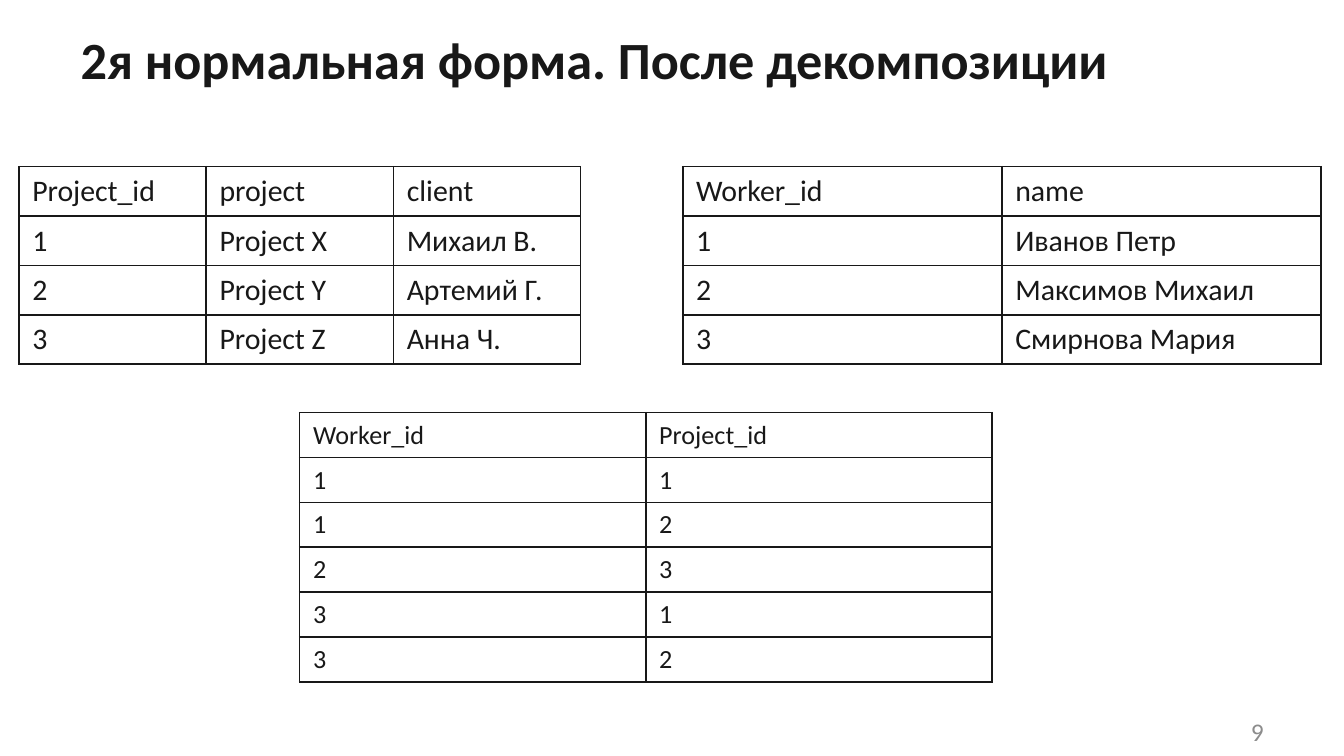
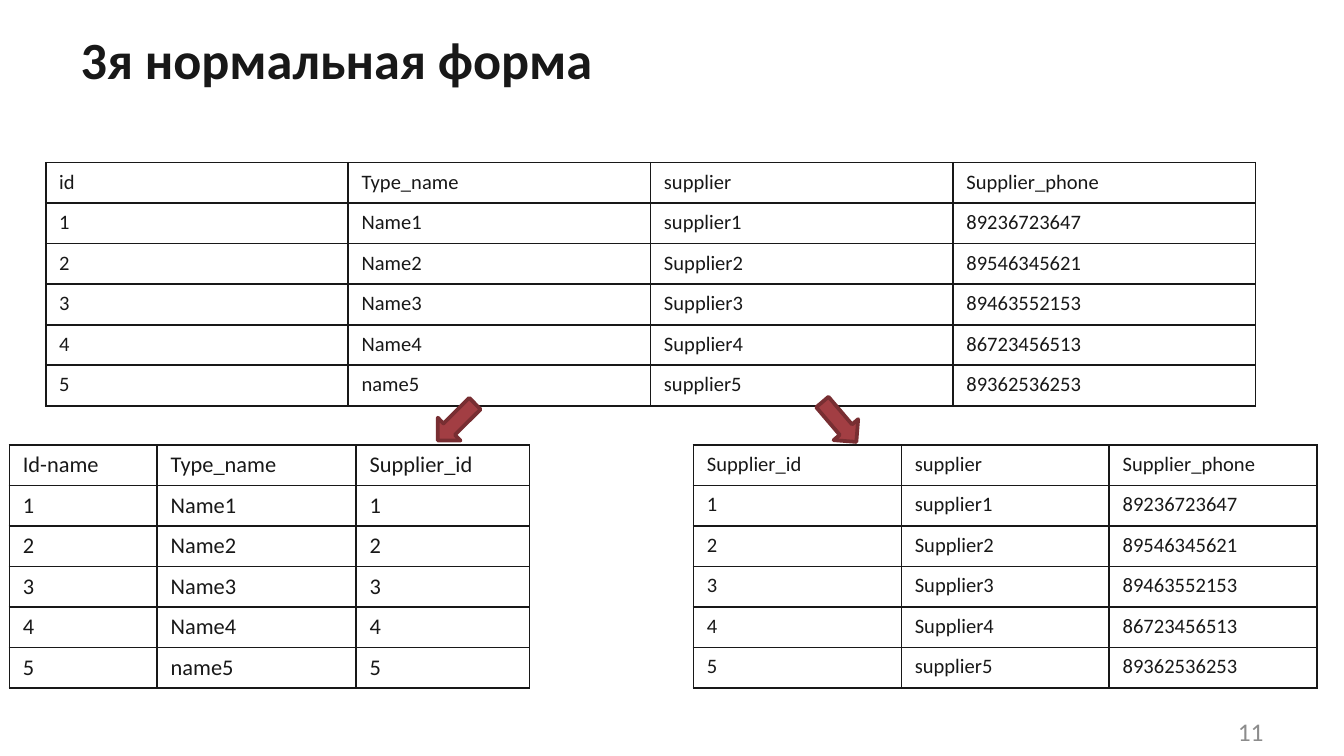
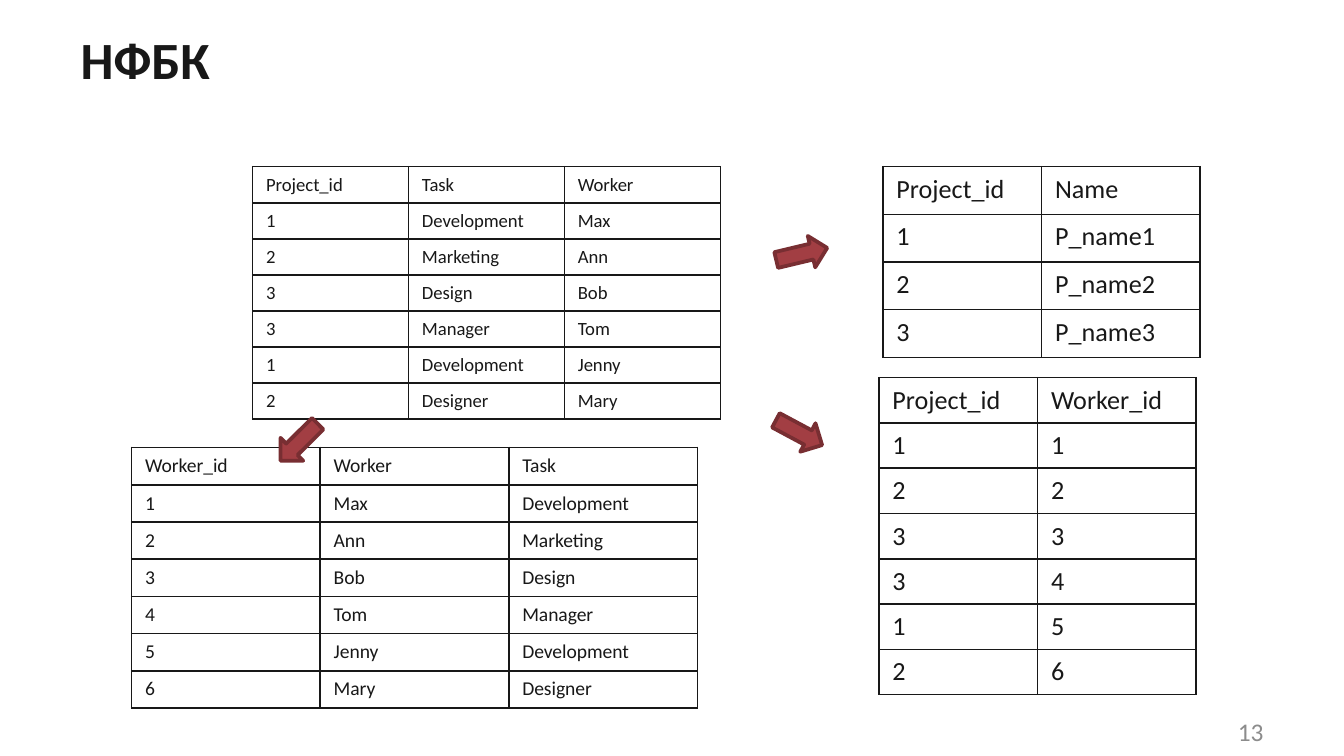
from lxml import etree
from pptx import Presentation
from pptx.dml.color import RGBColor
from pptx.enum.shapes import MSO_SHAPE
from pptx.enum.text import MSO_ANCHOR, MSO_AUTO_SIZE, PP_ALIGN
from pptx.oxml.ns import qn
from pptx.util import Inches, Pt

# Shared look
FONT = "Calibri"
INK = RGBColor(0x18, 0x18, 0x18)
GREY = RGBColor(0x8C, 0x8C, 0x8C)
ARROW_FILL = RGBColor(0xA2, 0x3E, 0x43)
ARROW_LINE = RGBColor(0x78, 0x2E, 0x32)
RIGHT_ARROW = MSO_SHAPE.RIGHT_ARROW
LEFT, RIGHT = PP_ALIGN.LEFT, PP_ALIGN.RIGHT
TOP, MIDDLE = MSO_ANCHOR.TOP, MSO_ANCHOR.MIDDLE
NO_AUTOFIT = MSO_AUTO_SIZE.NONE

SLIDE_SIZE = (10, 10 * 9 / 16)
TITLE_BOX = (0.5, 0.15, 9, 0.7)
NUMBER_BOX = (8.94, 5.29, 0.56, 0.3)
ARROW_SIZE = (0.39, 0.24)
TITLE_ONLY = 5

# Rows that several tables draw on
SUPPLIERS = [
    ("supplier", "Supplier_phone"),
    ("supplier1", "89236723647"),
    ("Supplier2", "89546345621"),
    ("Supplier3", "89463552153"),
    ("Supplier4", "86723456513"),
    ("supplier5", "89362536253"),
]
TYPE_NAMES = ["Type_name", "Name1", "Name2", "Name3", "Name4", "name5"]


def numbered(header, rows):
    """Put an id column, counted from 1, before the rows."""
    ids = [header] + [str(number) for number in range(1, len(rows))]
    return [(key, *row) for key, row in zip(ids, rows)]


def set_text(frame, text, size, color=INK, bold=False, align=LEFT):
    paragraph = frame.paragraphs[0]
    paragraph.alignment = align
    run = paragraph.add_run()
    run.text = text
    run.font.color.rgb = color
    for name, value in {"name": FONT, "size": Pt(size), "bold": bold}.items():
        setattr(run.font, name, value)


def set_frame(frame, **settings):
    for name, value in settings.items():
        setattr(frame, name, value)


def add_borders(cell):
    properties = cell._tc.get_or_add_tcPr()
    for side in ("lnL", "lnR", "lnT", "lnB"):
        line = etree.SubElement(properties, qn(f"a:{side}"), w=str(Pt(1)))
        fill = etree.SubElement(line, qn("a:solidFill"))
        etree.SubElement(fill, qn("a:srgbClr"), val=str(INK))


def add_grid(slide, box, rows, size, widths=None):
    """Bordered table with equal rows; columns are equal unless widths are given."""
    left, top, width, height = map(Inches, box)
    columns = len(rows[0])
    widths = widths or [box[2] / columns] * columns
    table = slide.shapes.add_table(len(rows), columns, left, top, width, height).table
    table.first_row = table.horz_banding = False
    for column, column_width in zip(table.columns, widths):
        column.width = Inches(column_width)
    for row, values in zip(table.rows, rows):
        row.height = int(height / len(rows))
        for cell, value in zip(row.cells, values):
            set_text(cell.text_frame, value, size)
            add_borders(cell)
            cell.fill.background()


def add_arrow(slide, left, top, rotation):
    shape = slide.shapes.add_shape(
        RIGHT_ARROW, *map(Inches, (left, top, *ARROW_SIZE)))
    shape.rotation = rotation
    shape.shadow.inherit = False
    shape.fill.solid()
    shape.fill.fore_color.rgb = ARROW_FILL
    shape.line.color.rgb = ARROW_LINE
    shape.line.width = Pt(2)


def add_slide(presentation, title, number):
    """Slide with the shared title style and page number."""
    slide = presentation.slides.add_slide(presentation.slide_layouts[TITLE_ONLY])
    heading = slide.shapes.title
    heading.left, heading.top, heading.width, heading.height = map(Inches, TITLE_BOX)
    set_frame(heading.text_frame, word_wrap=True, auto_size=NO_AUTOFIT,
              vertical_anchor=TOP, margin_top=Inches(0.05))
    set_text(heading.text_frame, title, 28, bold=True)

    page = slide.shapes.add_textbox(*map(Inches, NUMBER_BOX)).text_frame
    set_frame(page, word_wrap=True, vertical_anchor=MIDDLE)
    set_text(page, str(number), 13.6, GREY, align=RIGHT)
    return slide


def add_second_form(presentation):
    slide = add_slide(presentation, "2я нормальная форма. После декомпозиции", 9)
    projects = [("project", "client"), ("Project X", "Михаил В."),
                ("Project Y", "Артемий Г."), ("Project Z", "Анна Ч.")]
    workers = [("name",), ("Иванов Петр",), ("Максимов Михаил",), ("Смирнова Мария",)]
    links = [("Worker_id", "Project_id"),
             ("1", "1"), ("1", "2"), ("2", "3"), ("3", "1"), ("3", "2")]
    add_grid(slide, (0.14, 1.24, 4.18, 1.47), numbered("Project_id", projects), 16)
    add_grid(slide, (5.08, 1.24, 4.75, 1.47), numbered("Worker_id", workers), 16)
    add_grid(slide, (2.23, 3.07, 5.15, 2), links, 14)


def add_third_form(presentation):
    slide = add_slide(presentation, "3я нормальная форма", 11)
    ids = [str(number) for number in range(1, len(TYPE_NAMES))]
    types = list(zip(TYPE_NAMES, ["Supplier_id", *ids]))
    combined = [(name, *supplier) for name, supplier in zip(TYPE_NAMES, SUPPLIERS)]
    # Decomposed tables, then the starting table above them
    add_grid(slide, (0.07, 3.31, 3.87, 1.81), numbered("Id-name", types), 12,
             (1.1, 1.48, 1.29))
    add_grid(slide, (5.16, 3.31, 4.64, 1.81), numbered("Supplier_id", SUPPLIERS), 11)
    add_grid(slide, (0.34, 1.21, 9, 1.81), numbered("id", combined), 11)
    add_arrow(slide, 6.05, 3.02, 49.5)
    add_arrow(slide, 3.2, 3.02, 135.2)


def add_boyce_codd_form(presentation):
    slide = add_slide(presentation, "НФБК", 13)
    assignments = [
        ("Project_id", "Task", "Worker"),
        ("1", "Development", "Max"),
        ("2", "Marketing", "Ann"),
        ("3", "Design", "Bob"),
        ("3", "Manager", "Tom"),
        ("1", "Development", "Jenny"),
        ("2", "Designer", "Mary"),
    ]
    projects = [("Name",), ("P_name1",), ("P_name2",), ("P_name3",)]
    workers = numbered("Worker_id", [(worker, task) for _, task, worker in assignments])
    links = [(assignment[0], worker[0])
             for assignment, worker in zip(assignments, workers)]
    add_grid(slide, (1.88, 1.24, 3.48, 1.88), assignments, 10)
    add_grid(slide, (6.57, 1.24, 2.36, 1.42), numbered("Project_id", projects), 14)
    add_grid(slide, (6.54, 2.81, 2.36, 2.36), links, 14)
    add_grid(slide, (0.98, 3.33, 4.21, 1.94), workers, 10.5)
    add_arrow(slide, 2.03, 3.17, 135.2)
    add_arrow(slide, 5.77, 1.77, 346.6)
    add_arrow(slide, 5.75, 3.1, 28.2)


def main():
    presentation = Presentation()
    presentation.slide_width, presentation.slide_height = map(Inches, SLIDE_SIZE)
    add_second_form(presentation)
    add_third_form(presentation)
    add_boyce_codd_form(presentation)
    presentation.save("out.pptx")


if __name__ == "__main__":
    main()
